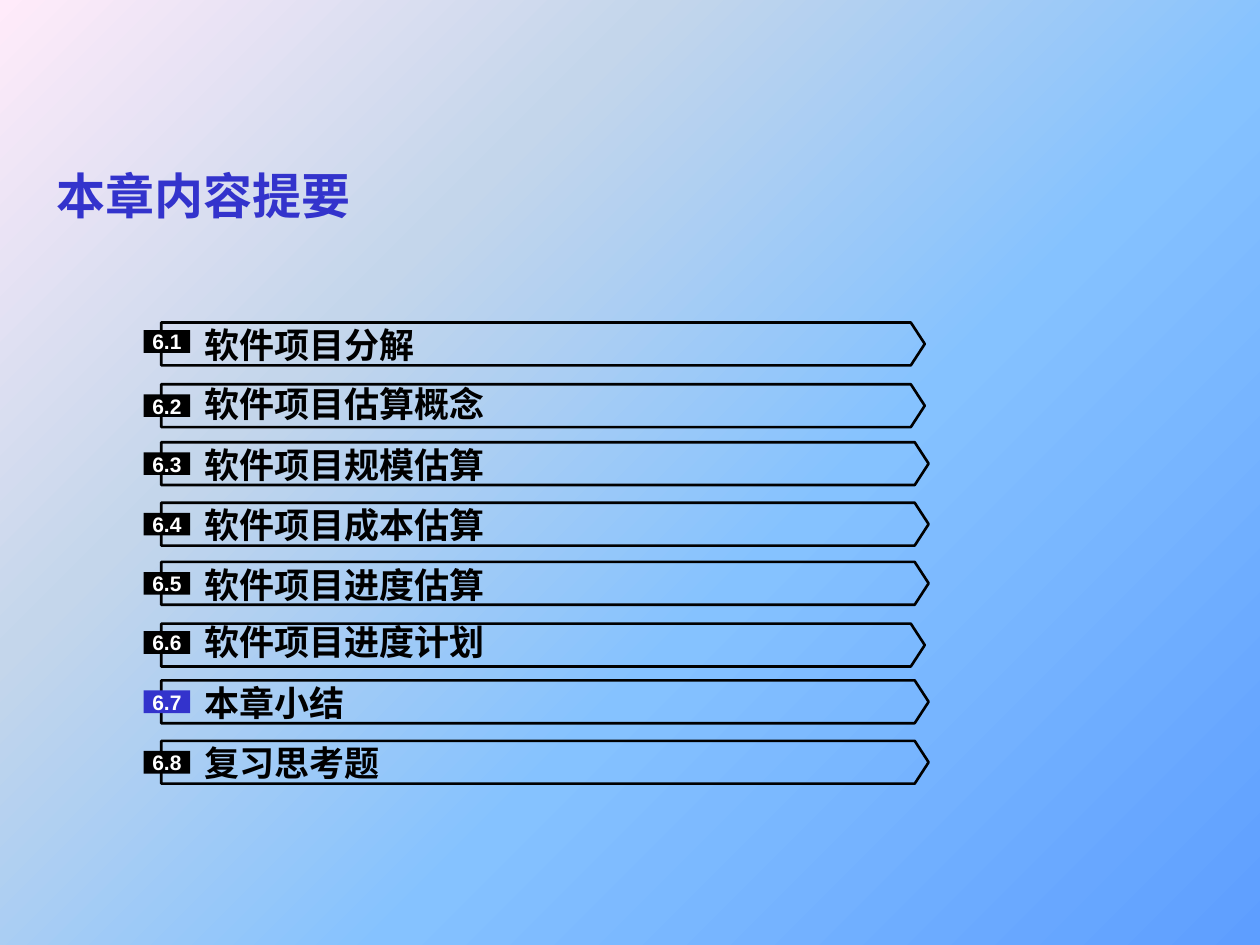
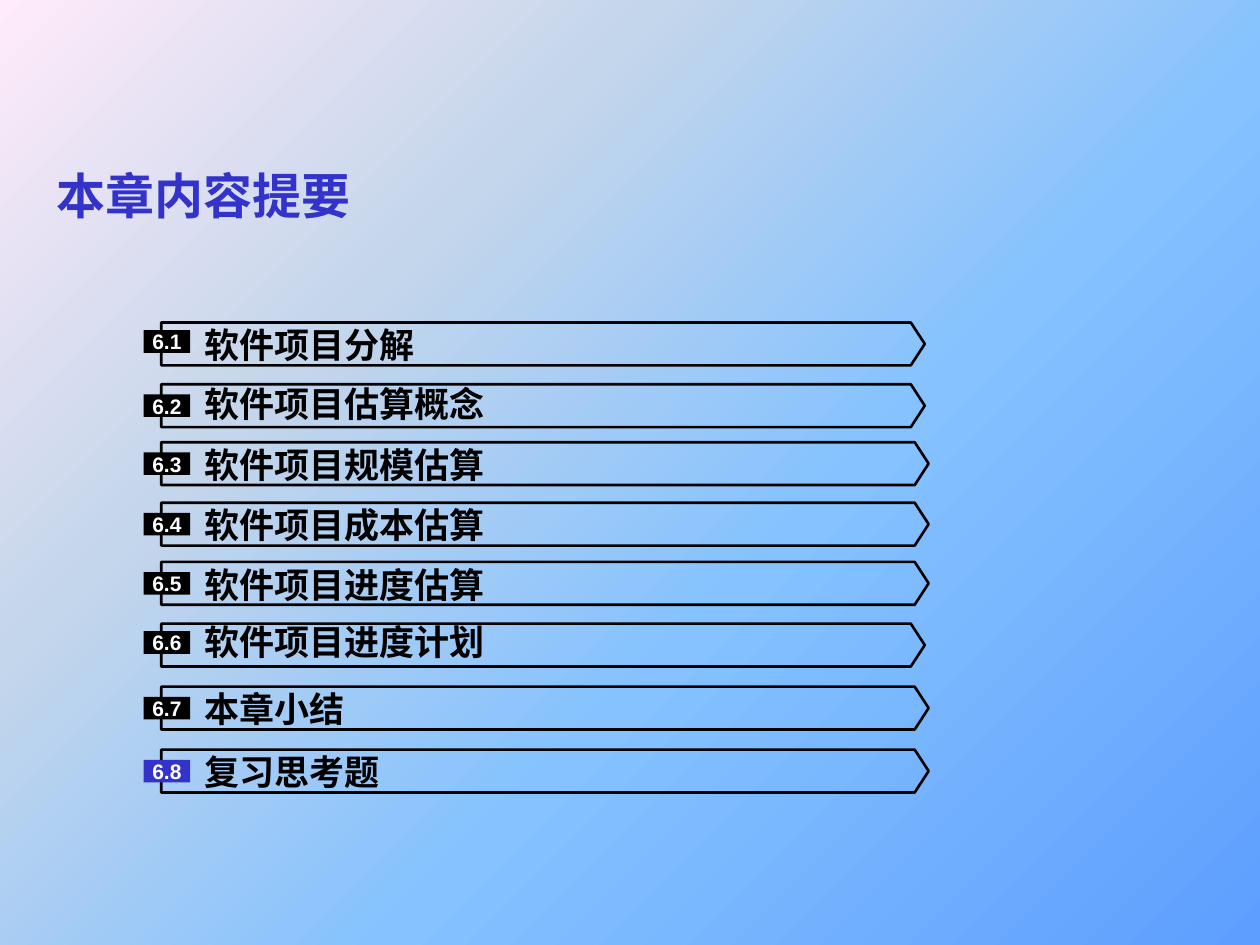
from lxml import etree
from pptx import Presentation
from pptx.dml.color import RGBColor
from pptx.enum.shapes import MSO_SHAPE
from pptx.enum.text import MSO_ANCHOR, MSO_AUTO_SIZE, PP_ALIGN
from pptx.oxml.ns import qn
from pptx.util import Inches, Pt

PENTAGON, RECTANGLE = MSO_SHAPE.PENTAGON, MSO_SHAPE.RECTANGLE
MIDDLE = MSO_ANCHOR.MIDDLE
GROW = MSO_AUTO_SIZE.SHAPE_TO_FIT_TEXT
LEFT, CENTER = PP_ALIGN.LEFT, PP_ALIGN.CENTER

BLACK, WHITE, ACCENT = "000000", "FFFFFF", "3333CC"
GRADIENT = [(0, "5E9EFF"), (40, "85C2FF"), (70, "C4D6EB"), (100, "FFEBFA")]

TITLE = "本章内容提要"
# Section, plate top, plate width, label and badge offsets from the plate top
SECTIONS = [
    ("软件项目分解", 2.56, 6.06, 0.01, 0.06),
    ("软件项目估算概念", 3.05, 6.06, -0.01, 0.08),
    ("软件项目规模估算", 3.51, 6.09, 0.01, 0.08),
    ("软件项目成本估算", 3.99, 6.09, 0.01, 0.08),
    ("软件项目进度估算", 4.46, 6.09, 0.01, 0.08),
    ("软件项目进度计划", 4.95, 6.06, -0.02, 0.06),
    ("本章小结", 5.4, 6.09, 0.01, 0.08),
    ("复习思考题", 5.88, 6.09, 0.01, 0.08),
]
# Highlighted section and the plate tops that differ on each slide
AGENDAS = [(7, {}), (8, {7: 5.45, 8: 5.95})]


def rgb(color):
    return RGBColor.from_string(color)


def write(shape, text, size, font, color, align=LEFT, inset=0):
    """Put one bold, vertically centred line of text into the shape."""
    tf = shape.text_frame
    tf.word_wrap = True
    tf.vertical_anchor = MIDDLE
    tf.margin_left = tf.margin_right = Inches(inset)
    tf.margin_top = tf.margin_bottom = Inches(inset / 2)
    p = tf.paragraphs[0]
    p.text = text
    p.alignment = align
    r = p.runs[0]
    r.font.size = Pt(size)
    r.font.name = font
    r.font.bold = True
    r.font.color.rgb = rgb(color)


prs = Presentation()
prs.slide_width, prs.slide_height = Inches(10), Inches(7.5)

for current, moved in AGENDAS:
    s = prs.slides.add_slide(prs.slide_layouts[6])

    fill = s.background.fill
    fill.gradient()
    fill.gradient_angle = 135
    stops = s.background._cSld.find(".//" + qn("a:gsLst"))
    stops.clear()
    for position, color in GRADIENT:
        stop = etree.SubElement(stops, qn("a:gs"), pos=str(position * 1000))
        etree.SubElement(stop, qn("a:srgbClr"), val=color)

    title = s.shapes.add_textbox(Inches(0.35), Inches(1.15), Inches(9.45), Inches(0.79))
    write(title, TITLE, 28, "Arial", ACCENT, inset=0.1)

    for number, (section, top, width, label_dy, badge_dy) in enumerate(SECTIONS, 1):
        top = moved.get(number, top)
        row = s.shapes.add_group_shape().shapes

        plate = row.add_shape(PENTAGON, Inches(1.28), Inches(top), Inches(width), Inches(0.34))
        plate.adjustments[0] = 0.325
        plate.shadow.inherit = False
        plate.fill.background()
        plate.line.color.rgb = rgb(BLACK)
        plate.line.width = Pt(1.5)

        label = row.add_textbox(Inches(1.56), Inches(top + label_dy), Inches(5.4), Inches(0.33))
        write(label, " " + section, 20, "Times New Roman", BLACK)
        label.text_frame.auto_size = GROW

        badge = row.add_shape(RECTANGLE, Inches(1.14), Inches(top + badge_dy), Inches(0.37), Inches(0.18))
        badge.shadow.inherit = False
        badge.fill.solid()
        badge.fill.fore_color.rgb = rgb(ACCENT if number == current else BLACK)
        badge.line.fill.background()
        write(badge, f"6.{number}", 12, "Arial", WHITE, CENTER)

prs.save("out.pptx")
